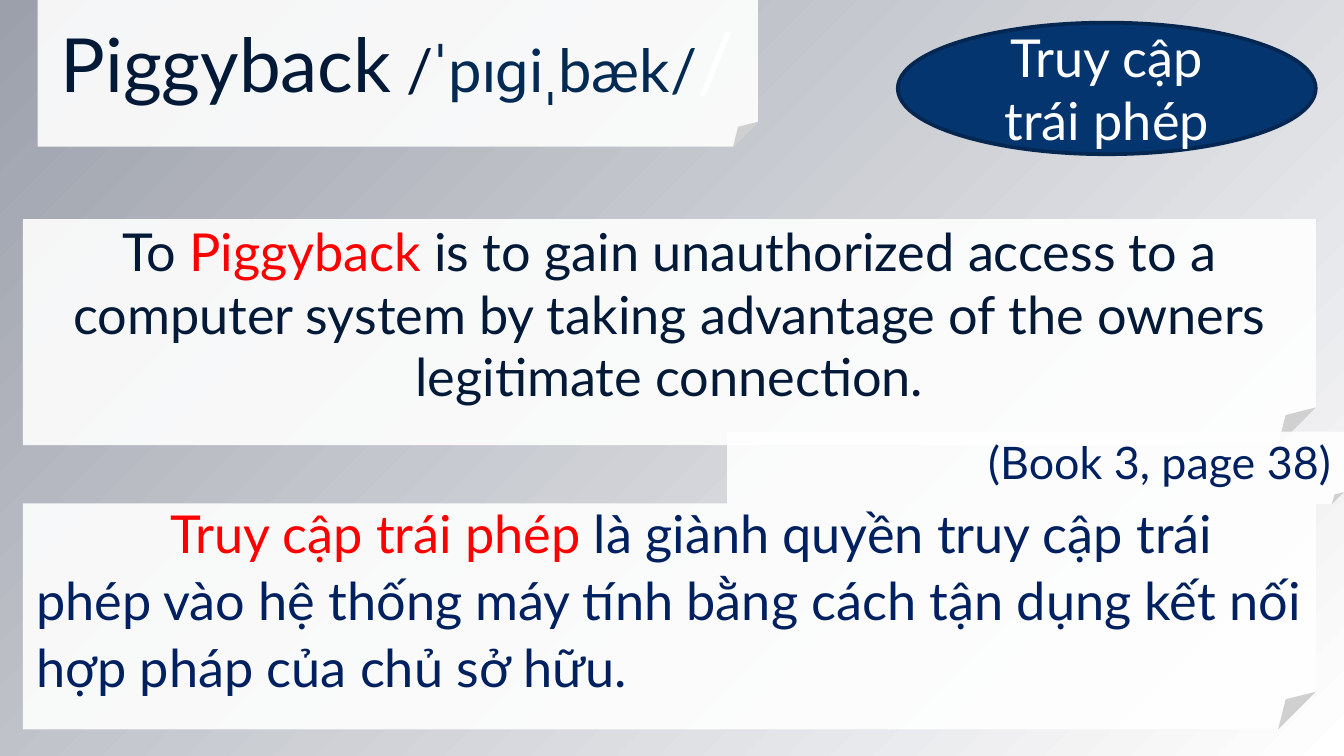
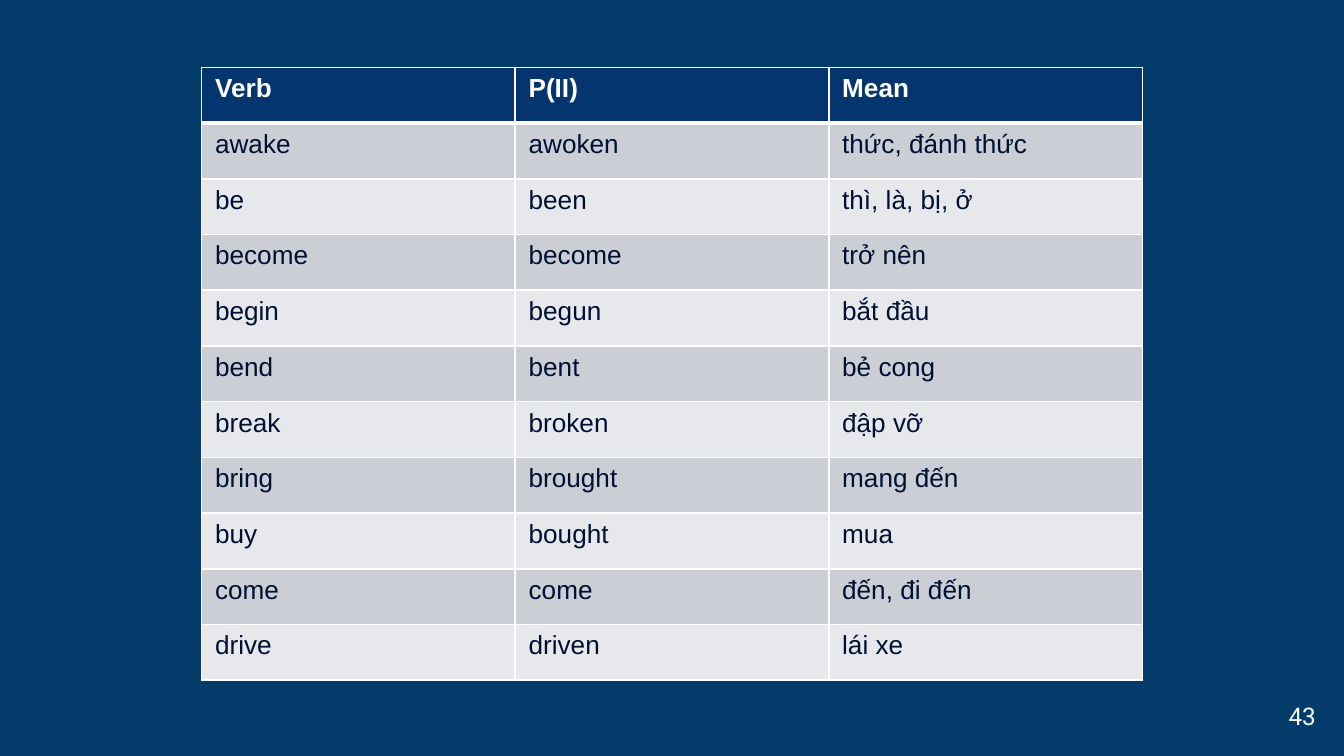
from dataclasses import dataclass
from lxml import etree
from pptx import Presentation, util as u
from pptx.dml.color import RGBColor
from pptx.enum import shapes, text
from pptx.oxml import ns

WHITE = RGBColor(0xFF, 0xFF, 0xFF)
GREY = RGBColor(0x9C, 0xA0, 0xAB)
INK = RGBColor(0x02, 0x1A, 0x37)
SOUND = RGBColor(0x02, 0x2A, 0x52)
RED = RGBColor(0xFF, 0x00, 0x00)
NAVY = RGBColor(0x00, 0x20, 0x60)
BLUE = RGBColor(0x05, 0x35, 0x6E)
EDGE = RGBColor(0x04, 0x27, 0x51)
SEA = RGBColor(0x03, 0x3C, 0x6B)
BODY = RGBColor(0x00, 0x10, 0x33)
BANDS = (RGBColor(0xE7, 0xE8, 0xEB), RGBColor(0xCC, 0xCE, 0xD5))

WIDE, HIGH = u.Inches(10), u.Inches(5.625)
LEFT, MID, RIGHT = text.PP_ALIGN.LEFT, text.PP_ALIGN.CENTER, text.PP_ALIGN.RIGHT
FOLD, OVAL = shapes.MSO_SHAPE.FOLDED_CORNER, shapes.MSO_SHAPE.OVAL


@dataclass(frozen=True)
class Box:
    left: float
    top: float
    width: float
    height: float

    def place(self) -> tuple[int, ...]:
        pairs = ((self.left, WIDE), (self.top, HIGH), (self.width, WIDE), (self.height, HIGH))
        return tuple(round(share * side / 100) for share, side in pairs)


@dataclass(frozen=True)
class Bit:
    words: str
    size: int
    color: RGBColor
    font: str = "Lato"
    bold: bool = False


@dataclass(frozen=True)
class Card:
    box: Box
    bits: tuple[Bit, ...]
    align: text.PP_ALIGN = MID
    form: shapes.MSO_SHAPE = FOLD
    indent: float = 0
    space: float = 1


CARDS = (
    Card(Box(1.7, 29, 96.2, 29.9), (
        Bit("To ", 28, INK),
        Bit("Piggyback ", 28, RED),
        Bit("is to gain unauthorized access to a computer system by taking "
            "advantage of the owners legitimate connection.", 28, INK))),
    Card(Box(2.8, -0.3, 53.6, 19.7), (
        Bit("Piggyback", 40, INK),
        Bit(" /", 32, INK),
        Bit("ˈpɪɡiˌbæk/", 32, SOUND),
        Bit("/", 44, WHITE))),
    Card(Box(66.8, 3, 31.1, 17.4), (Bit("Truy cập trái phép", 28, WHITE),), form=OVAL),
    Card(Box(54.1, 57.1, 45.9, 9.6), (Bit("(Book 3, page 38)", 24, NAVY),), RIGHT),
    Card(Box(1.7, 66.6, 96.2, 29.9), (
        Bit("Truy cập trái phép ", 28, RED),
        Bit("là giành quyền truy cập trái phép vào hệ thống máy tính bằng cách "
            "tận dụng kết nối hợp pháp của chủ sở hữu.", 28, NAVY)),
        LEFT, indent=10, space=1.07),
)

GRID = Box(15, 8.9, 70, 81.1)
PAGE = Box(91.9, 90.9, 6, 7.6)
VERBS = (
    ("Verb", "P(II)", "Mean"),
    ("awake", "awoken", "thức, đánh thức"),
    ("be", "been", "thì, là, bị, ở"),
    ("become", "become", "trở nên"),
    ("begin", "begun", "bắt đầu"),
    ("bend", "bent", "bẻ cong"),
    ("break", "broken", "đập vỡ"),
    ("bring", "brought", "mang đến"),
    ("buy", "bought", "mua"),
    ("come", "come", "đến, đi đến"),
    ("drive", "driven", "lái xe"),
)


def write(para, bits: tuple[Bit, ...], align: text.PP_ALIGN = LEFT) -> None:
    para.alignment = align
    for bit in bits:
        run = para.add_run()
        run.text = bit.words
        run.font.name = bit.font
        run.font.size = u.Pt(bit.size)
        run.font.bold = bit.bold
        run.font.color.rgb = bit.color


def draw(slide, card: Card) -> None:
    shape = slide.shapes.add_shape(card.form, *card.box.place())
    shape.shadow.inherit = False
    shape.fill.solid()
    if card.form == OVAL:
        shape.fill.fore_color.rgb = BLUE
        shape.line.color.rgb = EDGE
        shape.line.width = u.Pt(2)
    else:
        shape.fill.fore_color.rgb = WHITE
        shape.line.fill.background()
        tint = shape._element.spPr.find(".//" + ns.qn("a:srgbClr"))
        etree.SubElement(tint, ns.qn("a:alpha"), val="90000")
    frame = shape.text_frame
    frame.word_wrap = True
    frame.vertical_anchor = text.MSO_ANCHOR.MIDDLE
    para = frame.paragraphs[0]
    write(para, card.bits, card.align)
    if card.space != 1:
        para.line_spacing = card.space
    if card.indent:
        para._p.get_or_add_pPr().set("indent", str(round(card.indent * WIDE / 100)))


def rule(cell, side: str, points: int) -> None:
    line = etree.SubElement(cell._tc.get_or_add_tcPr(), ns.qn("a:ln" + side),
                            w=str(u.Pt(points)))
    fill = etree.SubElement(line, ns.qn("a:solidFill"))
    etree.SubElement(fill, ns.qn("a:srgbClr"), val=str(WHITE))


def list_verbs(slide) -> None:
    left, top, width, height = GRID.place()
    rows, cols = len(VERBS), len(VERBS[0])
    table = slide.shapes.add_table(rows, cols, left, top, width, height).table
    for col in table.columns:
        col.width = width // cols
    for num, words in enumerate(VERBS):
        table.rows[num].height = height // rows
        head = num == 0
        for col, word in enumerate(words):
            cell = table.cell(num, col)
            write(cell.text_frame.paragraphs[0],
                  (Bit(word, 14, WHITE if head else BODY, "Arial", head),))
            for side in "LRTB":
                thick = (num, side) in ((0, "B"), (1, "T"))
                rule(cell, side, 3 if thick else 1)
            cell.fill.solid()
            cell.fill.fore_color.rgb = BLUE if head else BANDS[num % 2]


def mark(slide, words: str) -> None:
    frame = slide.shapes.add_textbox(*PAGE.place()).text_frame
    frame.word_wrap = True
    frame.margin_left = frame.margin_right = frame.margin_top = frame.margin_bottom = 0
    frame.vertical_anchor = text.MSO_ANCHOR.MIDDLE
    write(frame.paragraphs[0], (Bit(words, 13, WHITE, "Roboto"),), RIGHT)


def main() -> None:
    deck = Presentation()
    deck.slide_width, deck.slide_height = WIDE, HIGH
    blank = deck.slide_layouts[6]

    term = deck.slides.add_slide(blank)
    back = term.background.fill
    back.gradient()
    back.gradient_angle = 315
    for stop, color in zip(back.gradient_stops, (GREY, WHITE)):
        stop.color.rgb = color
    for card in CARDS:
        draw(term, card)

    verbs = deck.slides.add_slide(blank)
    verbs.background.fill.solid()
    verbs.background.fill.fore_color.rgb = SEA
    mark(verbs, "43")
    list_verbs(verbs)

    deck.save("out.pptx")


if __name__ == "__main__":
    main()
